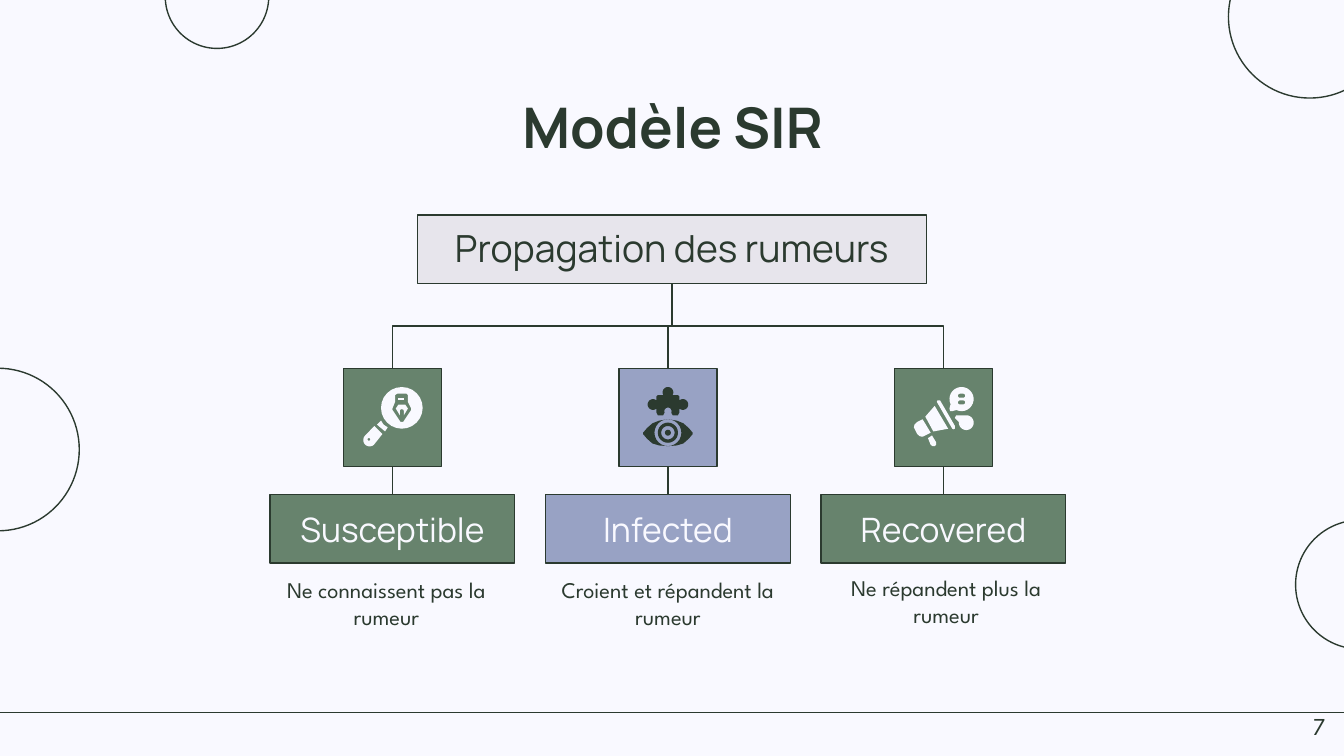
from math import cos, radians, sin

from pptx import Presentation
from pptx.dml.color import RGBColor
from pptx.enum.shapes import MSO_CONNECTOR as Connector, MSO_SHAPE as Shape
from pptx.enum.text import MSO_ANCHOR as Anchor, MSO_AUTO_SIZE as AutoSize, PP_ALIGN as Align
from pptx.oxml.ns import qn
from pptx.util import Inches, Pt
from lxml.etree import SubElement

DARK, PALE, GREEN, BLUE, GREY = "2B3A2F", "F9F9FF", "67836D", "98A2C4", "E7E5EC"
HEADING, BODY = "Manrope", "League Spartan"
FIRST_CENTER, COLUMN_STEP = 2.92, 2.05
TILE_TOP, TILE_SIZE = 2.74, 0.73
LABEL_TOP, LABEL_WIDTH, BOX_HEIGHT = 3.68, 1.82, 0.51
ROOT_CENTER, ROOT_TOP, ROOT_WIDTH = 5, 1.6, 3.79
CIRCLES = [(9.14, -0.48, 1.21), (1.23, -0.41, 0.77), (9.64, 3.87, 0.96), (-0.62, 2.74, 1.21)]


def rgb(value):
    return RGBColor.from_string(value)


def write(shape, text, font_name, size, color, align=Align.CENTER, anchor=Anchor.TOP, bold=False):
    frame = shape.text_frame
    frame.word_wrap = True
    frame.auto_size = AutoSize.NONE
    frame.vertical_anchor = anchor
    frame.margin_left = frame.margin_right = Inches(0.1)
    frame.margin_top = frame.margin_bottom = Inches(0.1)
    paragraph = frame.paragraphs[0]
    paragraph.alignment = align
    run = paragraph.add_run()
    run.text = text
    run.font.name = font_name
    run.font.size = Pt(size)
    run.font.bold = bold
    run.font.color.rgb = rgb(color)


def add_outlined(slide, kind, left, top, width, height, fill=None):
    shape = slide.shapes.add_shape(kind, Inches(left), Inches(top), Inches(width), Inches(height))
    shape.shadow.inherit = False
    if fill:
        shape.fill.solid()
        shape.fill.fore_color.rgb = rgb(fill)
    else:
        shape.fill.background()
    shape.line.color.rgb = rgb(DARK)
    shape.line.width = Pt(0.75)
    return shape


def add_label(slide, center, top, width, text, size, fill, color):
    box = add_outlined(slide, Shape.RECTANGLE, center - width / 2, top, width, BOX_HEIGHT, fill)
    write(box, text, HEADING, size, color, anchor=Anchor.BOTTOM)


def add_text(slide, left, top, width, height, text, size, align=Align.CENTER):
    box = slide.shapes.add_textbox(Inches(left), Inches(top), Inches(width), Inches(height))
    write(box, text, BODY, size, DARK, align)


def add_line(slide, x1, y1, x2, y2, kind=Connector.STRAIGHT):
    line = slide.shapes.add_connector(kind, Inches(x1), Inches(y1), Inches(x2), Inches(y2))
    line.line.color.rgb = rgb(DARK)
    line.line.width = Pt(0.75)
    SubElement(line._element.spPr, qn("a:effectLst"))
    return line


def add_branch(slide, x1, y1, x2, y2):
    """Elbow that leaves and arrives vertically: a horizontal elbow, turned."""
    middle_x, middle_y = (x1 + x2) / 2, (y1 + y2) / 2
    half_width, half_height = (y2 - y1) / 2, abs(x2 - x1) / 2
    rotation = 90
    if x2 > x1:
        half_width, rotation = -half_width, 270
    branch = add_line(slide, middle_x - half_width, middle_y - half_height,
                      middle_x + half_width, middle_y + half_height, Connector.ELBOW)
    branch._element.spPr.find(qn("a:xfrm")).set("rot", str(rotation * 60000))


def arc(x, y, radius, start, end):
    """Points along an arc; angles in degrees, clockwise from the right."""
    steps = 24
    angles = [radians(start + (end - start) * i / steps) for i in range(steps + 1)]
    return [(x + radius * cos(a), y + radius * sin(a)) for a in angles]


def circle(x, y, radius):
    return arc(x, y, radius, 0, 360)


def pill(x, y, half_length, radius):
    return arc(x + half_length, y, radius, -90, 90) + arc(x - half_length, y, radius, 90, 270)


def magnifier_parts():
    return [
        [[(23, 43)] + arc(19.5, 53.5, 4.7, 225, 45) + [(29, 49)], circle(19, 53, 1)],
        [[(41, 22), (41, 24), (45, 24), (45, 22)]],
        [[(41, 27), (39, 30), (42, 35)] + arc(43.5, 32, 1.5, 180, 360)
         + [(45, 35), (48, 30), (46, 27)]],
        [circle(43.5, 29.5, 15.5),
         [(40, 19), (47, 19), (48, 20), (48, 25), (50.5, 30), (50.5, 31), (44.5, 40),
          (42.5, 40), (36.5, 31), (36.5, 30), (38.5, 25), (38.5, 20)]],
        [[(28, 39), (25, 42), (31, 47), (33, 44), (30, 42)]],
    ]


def eye_parts():
    almond = [(36.5, 38), (30, 39), (25, 41), (21, 44.5), (18, 48), (18, 49), (21, 52.5),
              (25, 56), (30, 57.5), (36.5, 58)]
    almond += [(73 - x, y) for x, y in reversed(almond)]
    right_piece = [(40, 20), (44, 20), (45, 21), (45, 24)] + arc(47.6, 27, 4, -135, 135)
    right_piece += [(45, 30), (45, 33), (44, 35), (40, 35), (39, 33)]
    left_piece = [(73 - x, y) for x, y in reversed(right_piece)]
    return [
        [almond] + [circle(36.5, 48, radius) for radius in (10, 7.5, 5, 2.2)],
        [arc(36.5, 18, 4, 150, 390) + right_piece + arc(36.5, 32, 2.7, 0, -180) + left_piece],
    ]


def megaphone_parts():
    return [
        [[(21, 38), (17, 40), (15, 42), (14.5, 44), (17, 49), (19, 50.7), (21, 51),
          (23, 50), (27, 48)]],
        [[(28, 50), (25, 52), (27, 57), (28.5, 58), (30, 58), (31, 57), (31, 55)]],
        [[(30, 28), (23, 36), (29, 47), (40, 45)]],
        [[(33, 24), (32, 24), (31.5, 25), (43, 45), (44, 45.5), (45, 45), (45, 43), (34, 24)]],
        [arc(50, 23, 9, 155, 475) + [(43, 32), (41.5, 32), (41, 30)],
         pill(50, 20.5, 1.2, 1.5), pill(50, 25.5, 1.2, 1.5)],
        [[(46, 35), (45, 37), (48, 40)] + arc(53.5, 40.5, 5.5, 180, -90)],
    ]


def add_icon(slide, left, top, parts, color):
    """Each part is an outline followed by its holes, in hundredths of an inch."""
    for part in parts:
        contours = [[(Inches(left + x / 100), Inches(top + y / 100)) for x, y in contour]
                    for contour in part]
        builder = slide.shapes.build_freeform(*contours[0][0])
        builder.add_line_segments(contours[0][1:])
        for hole in contours[1:]:
            builder.move_to(*hole[0])
            builder.add_line_segments(hole[1:])
        shape = builder.convert_to_shape()
        shape.shadow.inherit = False
        shape.fill.solid()
        shape.fill.fore_color.rgb = rgb(color)
        shape.line.fill.background()


def add_title(slide, text):
    title = slide.shapes.title
    title.left, title.top = Inches(0.79), Inches(0.59)
    title.width, title.height = Inches(8.43), Inches(0.63)
    write(title, text, HEADING, 30, DARK, bold=True)


def main():
    deck = Presentation()
    deck.slide_width, deck.slide_height = Inches(10), Inches(10) * 9 // 16
    slide = deck.slides.add_slide(deck.slide_layouts[5])
    slide.background.fill.solid()
    slide.background.fill.fore_color.rgb = rgb(PALE)

    add_line(slide, -0.02, 5.3, 10.02, 5.3)
    for left, top, size in CIRCLES:
        add_outlined(slide, Shape.OVAL, left, top, size, size)
    add_title(slide, "Modèle SIR")
    add_label(slide, ROOT_CENTER, ROOT_TOP, ROOT_WIDTH, "Propagation des rumeurs", 20, GREY, DARK)

    states = [
        ("Susceptible", GREEN, magnifier_parts(), PALE,
         "Ne connaissent pas la rumeur", (1.92, 4.19, 1.91, 0.73)),
        ("Infected", BLUE, eye_parts(), DARK,
         "Croient et répandent la rumeur", (4.06, 4.19, 1.82, 0.51)),
        ("Recovered", GREEN, megaphone_parts(), PALE,
         "Ne répandent plus la rumeur", (6.13, 4.17, 1.82, 0.51)),
    ]
    for column, (name, fill, icon, icon_color, caption, caption_place) in enumerate(states):
        center = FIRST_CENTER + column * COLUMN_STEP
        tile_left = center - TILE_SIZE / 2
        add_label(slide, center, LABEL_TOP, LABEL_WIDTH, name, 18, fill, PALE)
        add_outlined(slide, Shape.RECTANGLE, tile_left, TILE_TOP, TILE_SIZE, TILE_SIZE, fill)
        add_branch(slide, ROOT_CENTER, ROOT_TOP + BOX_HEIGHT, center, TILE_TOP)
        add_line(slide, center, TILE_TOP + TILE_SIZE, center, LABEL_TOP)
        add_icon(slide, tile_left, TILE_TOP, icon, icon_color)
        add_text(slide, *caption_place, caption, 12)

    add_text(slide, 9.36, 5.19, 0.6, 0.43, "7", 13, Align.RIGHT)
    deck.save("out.pptx")


if __name__ == "__main__":
    main()
